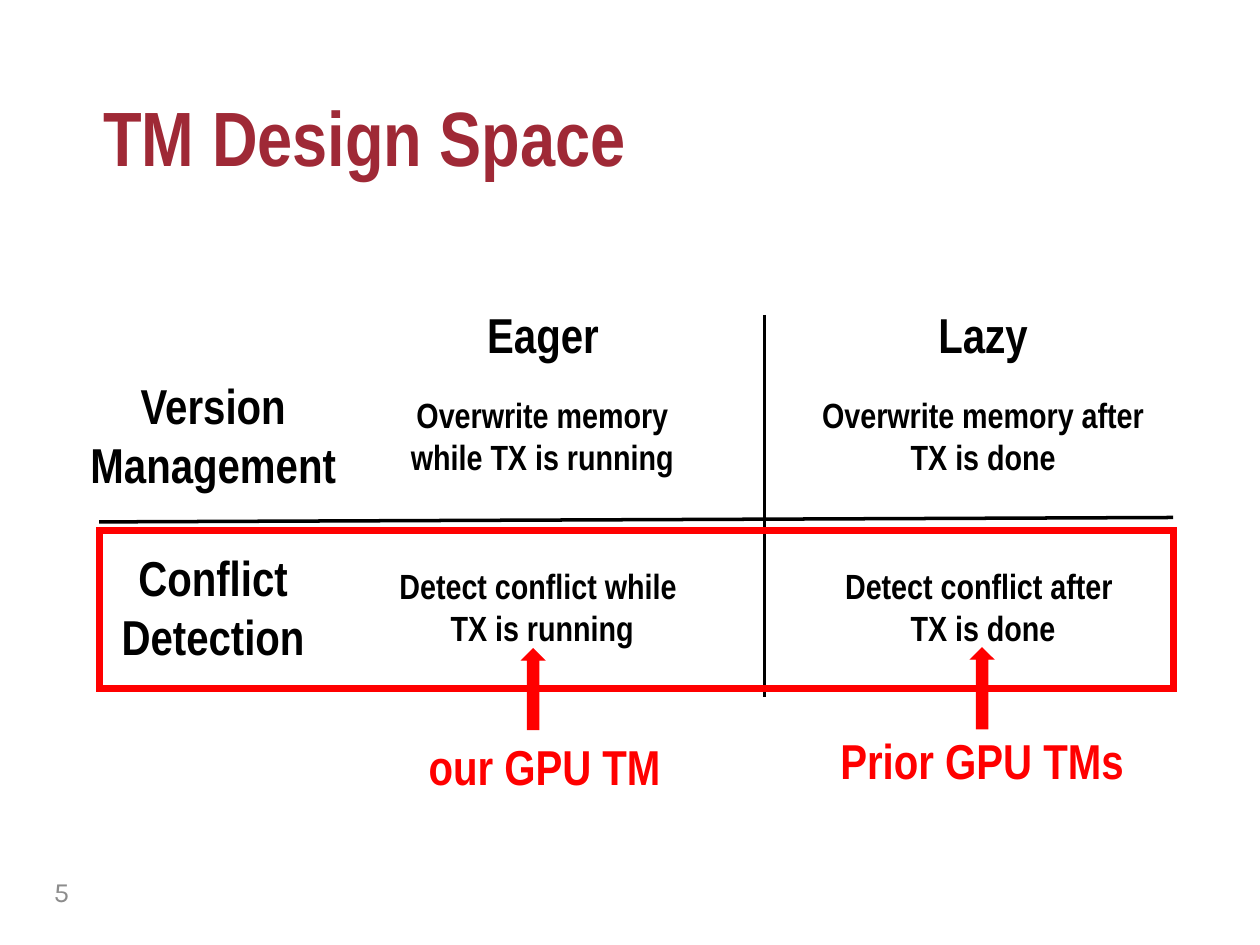
from dataclasses import dataclass
from lxml.etree import SubElement
from pptx import Presentation
from pptx.dml.color import RGBColor
from pptx.enum.shapes import MSO_CONNECTOR as Connector, MSO_SHAPE as Shape
from pptx.enum.text import MSO_ANCHOR as Anchor, MSO_AUTO_SIZE as AutoSize, PP_ALIGN as Align
from pptx.oxml.ns import qn
from pptx.util import Pt


@dataclass(frozen=True)
class Theme:
    font: str = "Arial Narrow"
    number_font: str = "Karla"
    ink: RGBColor = RGBColor(0, 0, 0)
    title: RGBColor = RGBColor(0x9F, 0x29, 0x36)
    accent: RGBColor = RGBColor(0xFF, 0, 0)
    muted: RGBColor = RGBColor(0x8C, 0x8C, 0x8C)
    title_size: int = 33
    head_size: int = 21
    body_size: int = 15
    number_size: int = 12


theme = Theme()


def add_run(paragraph, text, size, color, font=theme.font, bold=True):
    run = paragraph.add_run()
    run.text = text
    run.font.name, run.font.size, run.font.bold = font, Pt(size), bold
    run.font.color.rgb = color


def add_label(lines, left, top, width, height, size, color=theme.ink):
    frame = slide.shapes.add_textbox(Pt(left), Pt(top), Pt(width), Pt(height)).text_frame
    frame.word_wrap = True
    frame.auto_size = AutoSize.SHAPE_TO_FIT_TEXT
    for index, line in enumerate(lines):
        paragraph = frame.add_paragraph() if index else frame.paragraphs[0]
        paragraph.alignment = Align.CENTER
        add_run(paragraph, line, size, color)


deck = Presentation()
deck.slide_width, deck.slide_height = Pt(540), Pt(405)
slide = deck.slides.add_slide(deck.slide_layouts[5])

# Title
title = slide.shapes.title
title.left, title.top, title.width, title.height = Pt(37.1), Pt(21.6), Pt(466), Pt(78.5)
title.text_frame.vertical_anchor = Anchor.MIDDLE
title.text_frame.auto_size = AutoSize.NONE
heading = title.text_frame.paragraphs[0]
heading.alignment = Align.LEFT
heading.line_spacing = 0.9
add_run(heading, "TM Design Space", theme.title_size, theme.title)

# Slide number
number = slide.shapes.add_textbox(Pt(5.2), Pt(371.2), Pt(29.5), Pt(21.6)).text_frame
number.word_wrap = True
number.vertical_anchor = Anchor.MIDDLE
number.margin_left = number.margin_right = Pt(5)
number.margin_top = number.margin_bottom = Pt(2.9)
number.paragraphs[0].alignment = Align.RIGHT
add_run(number.paragraphs[0], "5", theme.number_size, theme.muted, theme.number_font, False)

# Row and column headings
for lines, left, top, width, height in [
    (["Conflict Detection"], 37, 231.1, 108.7, 58.3),
    (["Version", "Management"], 28.4, 157.5, 126, 58.3),
    (["Eager"], 200.2, 127, 65, 32.4),
    (["Lazy"], 388.8, 127, 65, 32.4),
]:
    add_label(lines, left, top, width, height, theme.head_size)

# Axes between the four choices
for start_x, start_y, end_x, end_y in [
    (42.5, 223.7, 502.8, 221.8),
    (327.6, 135, 327.6, 298.8),
]:
    axis = slide.shapes.add_connector(
        Connector.STRAIGHT, Pt(start_x), Pt(start_y), Pt(end_x), Pt(end_y))
    axis.line.color.rgb = theme.ink
    axis.line.width = Pt(1.5)
    SubElement(axis.element.spPr, qn("a:effectLst"))

# Design choices
for lines, left, top, width in [
    (["Overwrite memory while TX is running"], 156.2, 165, 152.6),
    (["Overwrite memory after", "TX is done"], 334.3, 165, 174.2),
    (["Detect conflict while ", "TX is running"], 147.8, 238.4, 169.2),
    (["Detect conflict after ", "TX is done"], 336.7, 238.4, 169.2),
]:
    add_label(lines, left, top, width, 43.9, theme.body_size)

# Frame around conflict detection
focus = slide.shapes.add_shape(Shape.RECTANGLE, Pt(42.5), Pt(227.3), Pt(460.3), Pt(67.7))
focus.shadow.inherit = False
focus.fill.background()
focus.line.color.rgb = theme.accent
focus.line.width = Pt(3)
SubElement(focus.element.spPr.find(qn("a:ln")), qn("a:miter"), lim="800000")

# Where each design sits
for design, center, arrow_top, label_left, label_top in [
    ("Prior GPU TMs", 420.9, 277.7, 347.1, 309.6),
    ("our GPU TM", 228.5, 278.1, 159.6, 312.2),
]:
    arrow = slide.shapes.add_shape(
        Shape.UP_ARROW, Pt(center - 4.8), Pt(arrow_top), Pt(9.6), Pt(34.6))
    arrow.shadow.inherit = False
    arrow.fill.solid()
    arrow.fill.fore_color.rgb = theme.accent
    arrow.line.color.rgb = theme.accent
    arrow.line.width = Pt(0.5)
    SubElement(arrow.element.spPr.find(qn("a:ln")), qn("a:miter"), lim="800000")
    add_label([design], label_left, label_top, 147.6, 32.4, theme.head_size, theme.accent)

deck.save("out.pptx")
